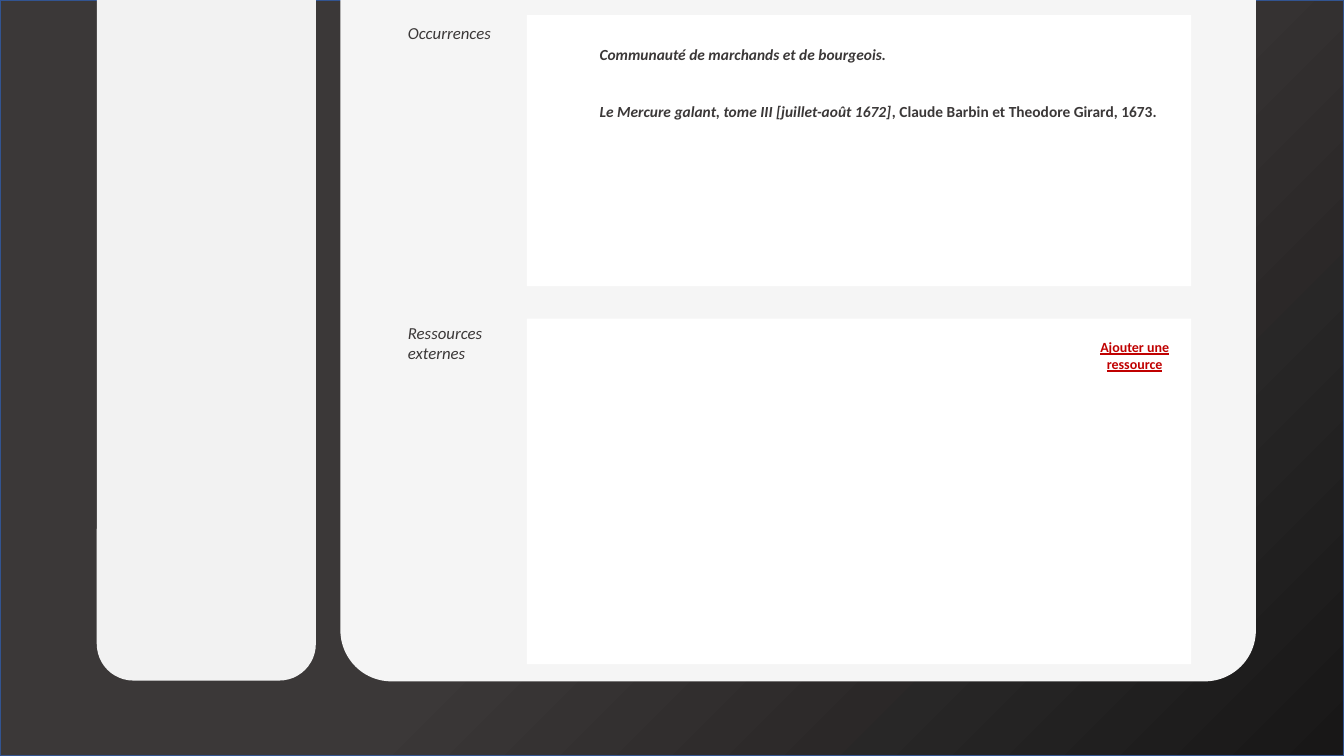
"""Build the slide with the occurrences and external resources panels."""
from pptx import Presentation
from pptx.dml.color import RGBColor
from pptx.enum.shapes import MSO_SHAPE
from pptx.enum.text import MSO_ANCHOR, PP_ALIGN
from pptx.util import Cm, Pt

DARK = "3B3838"
NO_GRID_STYLE = "{2D5ABB26-0587-4C30-8999-92F81FD0307C}"


def color(value):
    return RGBColor.from_string(value)


def add_run(paragraph, text, size, value, bold=False, italic=False):
    run = paragraph.add_run()
    run.text = text
    font = run.font
    font.name, font.size, font.bold, font.italic = "Calibri", Pt(size), bold, italic
    font.color.rgb = color(value)
    return run


presentation = Presentation()
presentation.slide_width = Cm(33.87)
presentation.slide_height = Cm(19.05)
slide = presentation.slides.add_slide(presentation.slide_layouts[6])
shapes = slide.shapes

background = shapes.add_shape(
    MSO_SHAPE.RECTANGLE, 0, 0, presentation.slide_width, presentation.slide_height)
background.shadow.inherit = False
background.fill.gradient()
background.fill.gradient_angle = 135
for stop, position, value in zip(background.fill.gradient_stops, (0, 0.48), ("181717", DARK)):
    stop.position = position
    stop.color.rgb = color(value)
background.line.color.rgb = color("325491")
background.line.width = Pt(1)

for left, top, width, height, radius, value in (
    (8.58, -1.75, 23.07, 18.92, 0.068, "F5F5F5"),
    (2.44, -1.1, 5.52, 18.25, 0.167, "F2F2F2"),
):
    panel = shapes.add_shape(
        MSO_SHAPE.ROUNDED_RECTANGLE, Cm(left), Cm(top), Cm(width), Cm(height))
    panel.adjustments[0] = radius
    panel.shadow.inherit = False
    panel.fill.solid()
    panel.fill.fore_color.rgb = color(value)
    panel.line.fill.background()

column_widths = (3.56, 17.09)
row_heights = (1.12, 1.27, 1.02, 1.02, 1.52, 1.57, 1.65, 1.5)
labels = {0: "Occurrences", 6: "Ressources externes"}
table_frame = shapes.add_table(
    len(row_heights), len(column_widths), Cm(9.88), 0,
    Cm(sum(column_widths)), Cm(sum(row_heights)))
table = table_frame.table
table.first_row = table.horz_banding = False
table._tbl.tblPr[0].text = NO_GRID_STYLE
for column, width in zip(table.columns, column_widths):
    column.width = Cm(width)
for row, height in zip(table.rows, row_heights):
    row.height = Cm(height)
    for cell in row.cells:
        cell.fill.background()
for row_index, label in labels.items():
    cell = table.cell(row_index, 0)
    cell.vertical_anchor = MSO_ANCHOR.MIDDLE
    cell.margin_left = cell.margin_right = Cm(0.4)
    cell.margin_top, cell.margin_bottom = Cm(0.6), 0
    add_run(cell.text_frame.paragraphs[0], label, 12, DARK, italic=True)

for top, height in ((0.38, 6.83), (8.03, 8.71)):
    box = shapes.add_shape(MSO_SHAPE.RECTANGLE, Cm(13.28), Cm(top), Cm(16.74), Cm(height))
    box.shadow.inherit = False
    box.fill.solid()
    box.fill.fore_color.rgb = color("FFFFFF")
    box.line.fill.background()

occurrence = shapes.add_textbox(Cm(14.86), Cm(1.02), Cm(14.88), Cm(2.9))
occurrence.text_frame.word_wrap = True
quote = occurrence.text_frame.paragraphs[0]
reference = occurrence.text_frame.add_paragraph()
reference.space_before = Pt(27)
quote.alignment = reference.alignment = PP_ALIGN.JUSTIFY
add_run(quote, "Communauté de marchands et de bourgeois.", 11, DARK, bold=True, italic=True)
add_run(reference, "Le Mercure galant, tome III [juillet-août 1672]", 11, DARK, bold=True, italic=True)
add_run(reference, ", Claude Barbin et Theodore Girard, 1673.", 11, DARK, bold=True)

button = shapes.add_shape(
    MSO_SHAPE.ROUNDED_RECTANGLE, Cm(27.25), Cm(8.61), Cm(2.69), Cm(0.69))
button.shadow.inherit = False
button.fill.background()
button.line.fill.background()
button.text_frame.word_wrap = True
button.text_frame.vertical_anchor = MSO_ANCHOR.MIDDLE
button_paragraph = button.text_frame.paragraphs[0]
button_paragraph.alignment = PP_ALIGN.CENTER
button_run = add_run(button_paragraph, "Ajouter une ressource", 10, "C00000", bold=True)
button_run.font.underline = True

presentation.save("out.pptx")
